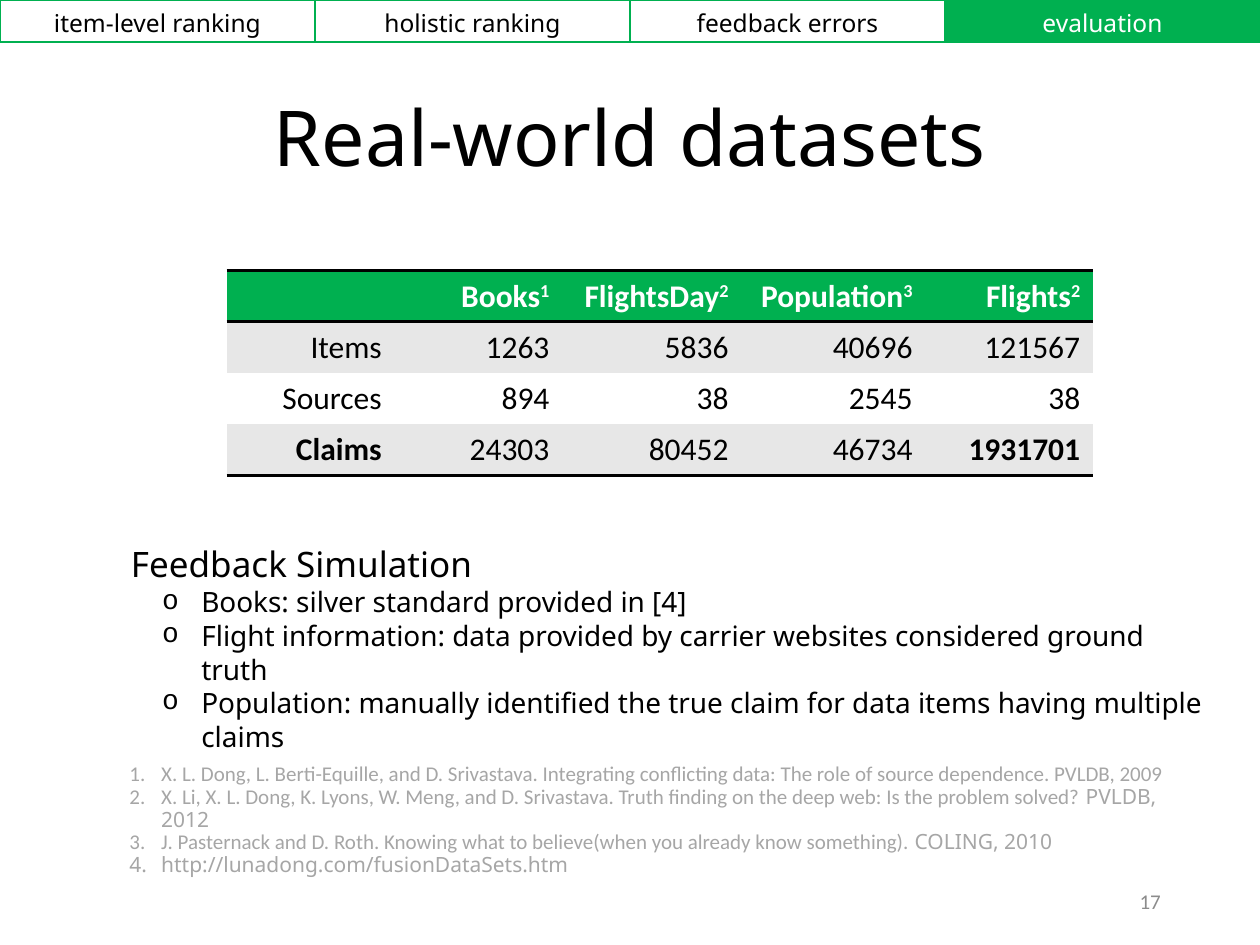
from dataclasses import dataclass

from pptx import Presentation
from pptx.dml.color import RGBColor
from pptx.enum.text import MSO_ANCHOR as Anchor, PP_ALIGN as Align
from pptx.oxml.ns import qn
from pptx.util import Cm, Pt
from lxml.etree import SubElement


@dataclass(frozen=True)
class Theme:
    green: str = "00B050"
    black: str = "000000"
    white: str = "FFFFFF"
    band: str = "E7E7E7"
    muted: str = "A6A6A6"
    number: str = "8C8C8C"
    sans: str = "Noto Sans"
    body: str = "Calibri"
    title_size: int = 44
    heading_size: int = 20
    table_size: int = 18
    bullet_size: int = 16
    nav_size: int = 14
    small_size: int = 12


class Deck:
    PLAIN_TABLE = "{2D5ABB26-0587-4C30-8999-92F81FD0307C}"

    def __init__(self, theme):
        self.theme = theme
        self.prs = Presentation()
        self.prs.slide_width, self.prs.slide_height = Cm(25.4), Cm(19.05)
        self.slide = self.prs.slides.add_slide(self.prs.slide_layouts[6])

    def run(self, paragraph, text, size, color, font, bold=False, raised=False):
        run = paragraph.add_run()
        run.text = text
        run.font.name, run.font.size, run.font.bold = font, Pt(size), bold
        run.font.color.rgb = RGBColor.from_string(color)
        if raised:
            run._r.get_or_add_rPr().set("baseline", "30000")

    def text_box(self, left, top, width, height, anchor=Anchor.TOP):
        box = self.slide.shapes.add_textbox(Cm(left), Cm(top), Cm(width), Cm(height))
        frame = box.text_frame
        frame.word_wrap = True
        frame.vertical_anchor = anchor
        return frame

    def line(self, frame, runs, size, color, align=Align.LEFT, spacing=None):
        """Fill the first paragraph, or add one; runs are (text, font) pairs."""
        paragraph = frame.paragraphs[0]
        if paragraph.runs:
            paragraph = frame.add_paragraph()
        paragraph.alignment, paragraph.line_spacing = align, spacing
        for text, font in runs:
            self.run(paragraph, text, size, color, font)
        return paragraph

    def bullet(self, paragraph, margin, hang, tag, **marker):
        props = paragraph._p.get_or_add_pPr()
        props.set("marL", str(Cm(margin)))
        props.set("indent", str(-Cm(hang)))
        if tag == "a:buChar":
            SubElement(props, qn("a:buFont"), typeface="Courier New")
        SubElement(props, qn(tag), **marker)

    def table(self, left, top, widths, row_height, rows):
        shape = self.slide.shapes.add_table(
            rows, len(widths), Cm(left), Cm(top), Cm(sum(widths)), Cm(row_height * rows))
        table = shape.table
        table.first_row = table.horz_banding = False
        table._tbl.tblPr.find(qn("a:tableStyleId")).text = self.PLAIN_TABLE
        for column, width in zip(table.columns, widths):
            column.width = Cm(width)
        for row in table.rows:
            row.height = Cm(row_height)
        return table

    def cell(self, cell, fill, sides, border, points):
        props = cell._tc.get_or_add_tcPr()
        for side in sides:
            edge = SubElement(props, qn(f"a:ln{side}"), w=str(Pt(points)))
            SubElement(SubElement(edge, qn("a:solidFill")), qn("a:srgbClr"), val=border)
        cell.fill.solid()
        cell.fill.fore_color.rgb = RGBColor.from_string(fill)


theme = Theme()
deck = Deck(theme)

# Title and page number
title = deck.text_box(1.75, 1.02, 21.9, 3.68, Anchor.MIDDLE)
deck.line(title, [("Real-world datasets", theme.sans)], theme.title_size,
          theme.black, Align.CENTER, 0.9)
page = deck.text_box(17.93, 17.65, 5.72, 1.02, Anchor.MIDDLE)
deck.line(page, [("17", theme.body)], theme.small_size, theme.number, Align.RIGHT)

# Section navigation
sections = ["item-level ranking", "holistic ranking", "feedback errors", "evaluation"]
current = "evaluation"
navigation = deck.table(0, 0, [6.35] * len(sections), 0.84, 1)
for cell, section in zip(navigation.rows[0].cells, sections):
    active = section == current
    deck.cell(cell, theme.green if active else theme.white, "LRTB", theme.green, 1)
    deck.line(cell.text_frame, [(section, theme.sans)], theme.nav_size,
              theme.white if active else theme.black, Align.CENTER)

# Dataset statistics: each entry is a text and its footnote mark
header = [("", ""), ("Books", "1"), ("FlightsDay", "2"), ("Population", "3"), ("Flights", "2")]
counts = [
    ["Items", "1263", "5836", "40696", "121567"],
    ["Sources", "894", "38", "2545", "38"],
    ["Claims", "24303", "80452", "46734", "1931701"],
]
emphasised = {"Claims", "1931701"}
entries = [header] + [[(text, "") for text in row] for row in counts]
datasets = deck.table(4.57, 5.46, [3.38, 3.38, 3.61, 3.71, 3.38], 1.03, len(entries))
for r, row in enumerate(entries):
    is_header = r == 0
    fill = theme.green if is_header else theme.band if r % 2 else theme.white
    sides = "TB" if is_header else "B" if r == len(counts) else ""
    for cell, (text, mark) in zip(datasets.rows[r].cells, row):
        deck.cell(cell, fill, sides, theme.black, 2)
        paragraph = cell.text_frame.paragraphs[0]
        paragraph.alignment = Align.RIGHT
        for part, raised in ((text, False), (mark, True)):
            if part:
                deck.run(paragraph, part, theme.table_size,
                         theme.white if is_header else theme.black, theme.body,
                         is_header or text in emphasised, raised)

# Feedback simulation
feedback = deck.text_box(2.39, 10.82, 22.17, 3.18)
deck.line(feedback, [("Feedback Simulation", theme.sans)], theme.heading_size, theme.black)
for point in [
    "Books: silver standard provided in [4]",
    "Flight information: data provided by carrier websites considered ground truth",
    "Population: manually identified the true claim for data items having multiple claims",
]:
    paragraph = deck.line(feedback, [(point, theme.sans)], theme.bullet_size, theme.black)
    paragraph.level = 1
    deck.bullet(paragraph, 1.42, 0.79, "a:buChar", char="o")

# References
references = deck.text_box(2.36, 15.27, 22.2, 2.03)
for citation, venue in [
    ("X. L. Dong, L. Berti-Equille, and D. Srivastava. Integrating conflicting data: "
     "The role of source dependence. PVLDB, 2009", ""),
    ("X. Li, X. L. Dong, K. Lyons, W. Meng, and D. Srivastava. Truth finding on the "
     "deep web: Is the problem solved? ", "PVLDB, 2012"),
    ("J. Pasternack and D. Roth. Knowing what to believe(when you already know "
     "something). ", "COLING, 2010"),
    ("", "http://lunadong.com/fusionDataSets.htm"),
]:
    runs = [(text, font) for text, font in ((citation, theme.body), (venue, theme.sans)) if text]
    paragraph = deck.line(references, runs, theme.small_size, theme.muted, spacing=0.9)
    deck.bullet(paragraph, 0.64, 0.64, "a:buAutoNum", type="arabicPeriod")

deck.prs.save("out.pptx")
